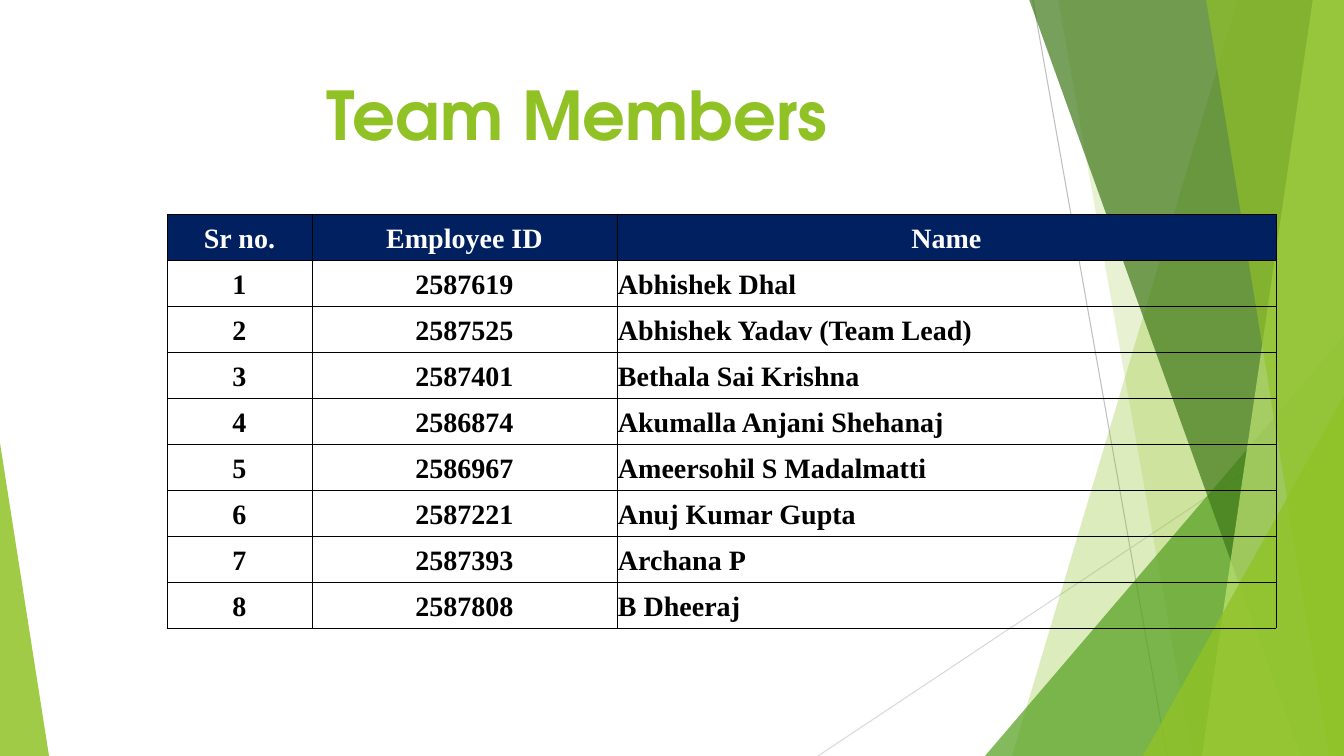
import pptx
import pptx.dml.color
import pptx.enum.shapes
import pptx.enum.text
import pptx.oxml.ns
import pptx.util
from lxml import etree

WIDTH, HEIGHT = 1344, 756
SCALE = 12192000 / WIDTH
GREEN, NAVY, BLACK, WHITE = "90C226", "002060", "000000", "FFFFFF"
CENTER = pptx.enum.text.PP_ALIGN.CENTER
LEFT = pptx.enum.text.PP_ALIGN.LEFT
qn = pptx.oxml.ns.qn

MEMBERS = [
    ("2587619", "Abhishek Dhal"),
    ("2587525", "Abhishek Yadav (Team Lead)"),
    ("2587401", "Bethala Sai Krishna"),
    ("2586874", "Akumalla Anjani Shehanaj"),
    ("2586967", "Ameersohil S Madalmatti"),
    ("2587221", "Anuj Kumar Gupta"),
    ("2587393", "Archana P"),
    ("2587808", "B Dheeraj"),
]


def emu(px):
    return round(px * SCALE)


def rgb(value):
    return pptx.dml.color.RGBColor.from_string(value)


def apply(target, values):
    for name, value in values.items():
        setattr(target, name, value)


class Deck:
    """Holds the style and the current slide, and draws each kind of element."""

    title_font = {"name": "TeX Gyre Adventor", "size": pptx.util.Pt(48), "bold": True}
    table_font = {"name": "Times New Roman", "size": pptx.util.Pt(20), "bold": True}
    cell_format = {
        "margin_left": emu(1), "margin_right": emu(1),
        "margin_top": emu(1), "margin_bottom": emu(5),
        "vertical_anchor": pptx.enum.text.MSO_ANCHOR.BOTTOM,
    }

    def __init__(self):
        self.prs = pptx.Presentation()
        apply(self.prs, {"slide_width": emu(WIDTH), "slide_height": emu(HEIGHT)})
        self.s = self.prs.slides.add_slide(self.prs.slide_layouts[6])

    def line(self, x1, y1, x2, y2, color):
        kind = pptx.enum.shapes.MSO_CONNECTOR.STRAIGHT
        sp = self.s.shapes.add_connector(kind, emu(x1), emu(y1), emu(x2), emu(y2))
        sp.line.color.rgb = rgb(color)
        sp.line.width = pptx.util.Pt(0.75)
        etree.SubElement(sp._element.spPr, qn("a:effectLst"))

    def paint(self, sp, color, opacity):
        sp.shadow.inherit = False
        sp.fill.solid()
        sp.fill.fore_color.rgb = rgb(color)
        sp.line.fill.background()
        clr = sp._element.spPr.find(".//" + qn("a:srgbClr"))
        etree.SubElement(clr, qn("a:alpha")).set("val", str(opacity * 1000))

    def band(self, top_x, bottom_x, color, opacity):
        builder = self.s.shapes.build_freeform(top_x, -1, scale=SCALE)
        builder.add_line_segments([(WIDTH, -1), (WIDTH, HEIGHT), (bottom_x, HEIGHT)])
        self.paint(builder.convert_to_shape(), color, opacity)

    def triangle(self, x, y, w, apex, color, opacity):
        kind = pptx.enum.shapes.MSO_SHAPE.ISOSCELES_TRIANGLE
        sp = self.s.shapes.add_shape(kind, emu(x), emu(y), emu(w), emu(HEIGHT - y))
        sp.adjustments[0] = apex
        self.paint(sp, color, opacity)

    def text(self, tf, words, font, color, align):
        p = tf.paragraphs[0]
        p.alignment = align
        r = p.add_run()
        r.text = words
        apply(r.font, font)
        r.font.color.rgb = rgb(color)

    def title(self, x, y, w, h, indent, words):
        tf = self.s.shapes.add_textbox(emu(x), emu(y), emu(w), emu(h)).text_frame
        apply(tf, {"word_wrap": True, "margin_left": emu(indent)})
        self.text(tf, words, self.title_font, GREEN, LEFT)

    def border(self, cell):
        tcPr = cell._tc.get_or_add_tcPr()
        for side in ("a:lnL", "a:lnR", "a:lnT", "a:lnB"):
            ln = etree.SubElement(tcPr, qn(side), w=str(pptx.util.Pt(0.5)))
            fill = etree.SubElement(ln, qn("a:solidFill"))
            etree.SubElement(fill, qn("a:srgbClr"), val=BLACK)

    def table(self, x, y, widths, row_height, rows):
        table = self.s.shapes.add_table(
            len(rows), len(widths), emu(x), emu(y),
            emu(sum(widths)), emu(row_height * len(rows))).table
        apply(table, {"first_row": False, "horz_banding": False})
        for column, width in zip(table.columns, widths):
            column.width = emu(width)
        for i, row in enumerate(rows):
            table.rows[i].height = emu(row_height)
            for j, words in enumerate(row):
                cell = table.cell(i, j)
                apply(cell, self.cell_format)
                self.border(cell)
                if i == 0:
                    cell.fill.solid()
                    cell.fill.fore_color.rgb = rgb(NAVY)
                else:
                    cell.fill.background()
                align = LEFT if i and j == 2 else CENTER
                color = BLACK if i else WHITE
                self.text(cell.text_frame, words, self.table_font, color, align)


def main():
    deck = Deck()
    deck.line(1033, 0, 1167, HEIGHT, "BFBFBF")
    deck.line(WIDTH, 406, 818, HEIGHT, "D9D9D9")
    deck.band(1238, 1012, GREEN, 30)
    deck.band(1058, 1192, GREEN, 20)
    deck.triangle(985, 336, 359, 1, "54A021", 72)
    deck.band(1029, 1301, "3F7819", 70)
    deck.band(1313, 1202, "C0E474", 70)
    deck.band(1206, 1329, GREEN, 65)
    deck.triangle(1143, 396, 201, 1, GREEN, 80)
    deck.triangle(0, 443, 49, 0, GREEN, 85)
    deck.title(75, 68, 948, 145, 252, "Team Members")
    rows = [("Sr no.", "Employee ID", "Name")]
    rows += [(str(n), *member) for n, member in enumerate(MEMBERS, 1)]
    deck.table(167, 214, (145, 305, 659), 46, rows)
    deck.prs.save("out.pptx")


if __name__ == "__main__":
    main()
